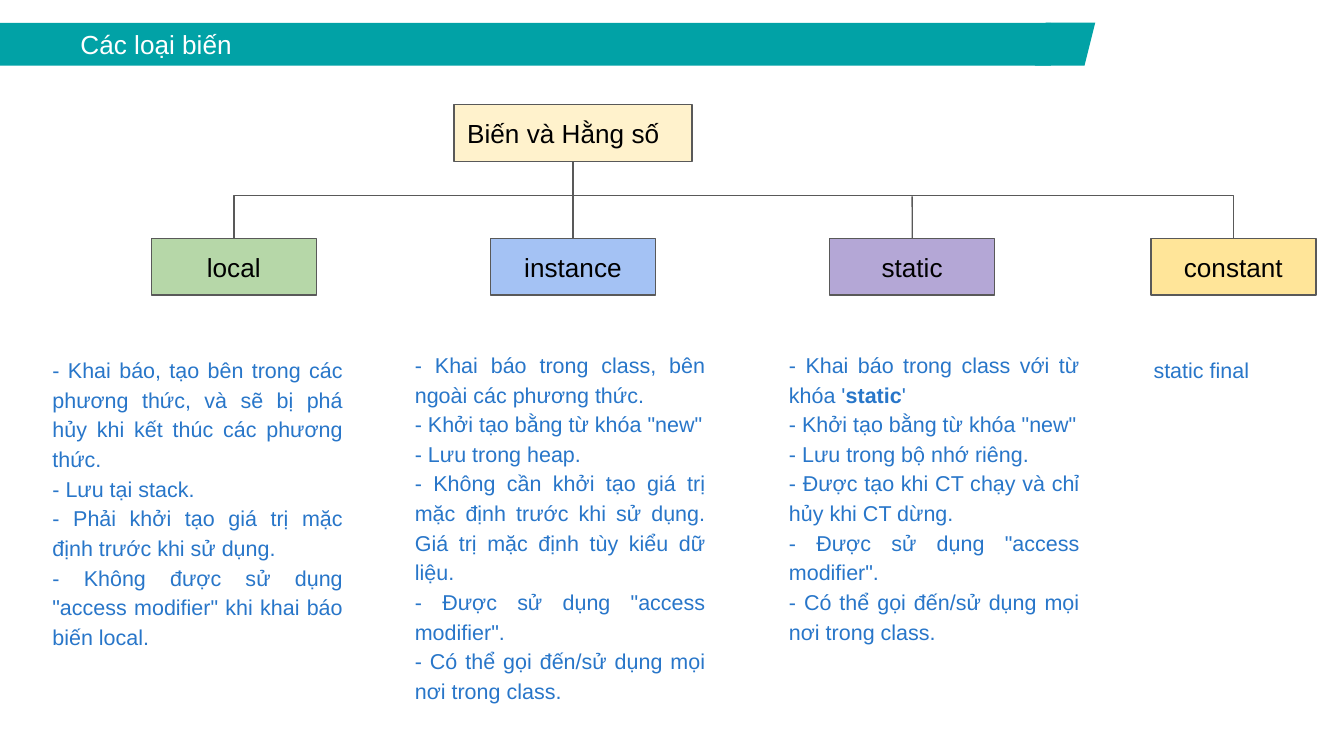
from pptx import Presentation
from pptx.dml.color import RGBColor
from pptx.enum.shapes import MSO_CONNECTOR as CONN, MSO_SHAPE as SHAPE
from pptx.enum.text import MSO_ANCHOR as ANCHOR, MSO_AUTO_SIZE as AUTO, PP_ALIGN as ALIGN
from pptx.oxml.ns import qn
from pptx.util import Cm, Pt
from lxml import etree

TEAL, GREY, BLUE = "01A2A6", "595959", "2876C9"
BOX_TOP, BOX_W, BOX_H = 4.51, 3.12, 1.07
BEND_RISE, BEND_DEPTH = 0.81, 0.01


def rgb(value):
    return RGBColor.from_string(value)


def write(tf, text, size=14, color="000000", align=ALIGN.LEFT, anchor=ANCHOR.MIDDLE,
          spacing=None, indent=0):
    tf.word_wrap = True
    tf.auto_size = AUTO.NONE
    tf.vertical_anchor = anchor
    tf.margin_left = tf.margin_right = tf.margin_top = tf.margin_bottom = Cm(0.25)
    for i, line in enumerate(text.split("\n")):
        p = tf.paragraphs[0] if i == 0 else tf.add_paragraph()
        p.alignment = align
        p.space_before = Pt(0)
        p.line_spacing = spacing
        pPr = p._p.get_or_add_pPr()
        pPr.set("marL", "0")
        pPr.set("indent", str(Cm(indent)))
        etree.SubElement(pPr, qn("a:buNone"))
        for j, part in enumerate(line.split("**")):
            r = p.add_run()
            r.text = part
            r.font.name = "Arial"
            r.font.size = Pt(size)
            r.font.bold = j % 2 == 1
            r.font.color.rgb = rgb(color)


class Deck:
    def __init__(self):
        self.prs = Presentation()
        self.prs.slide_width, self.prs.slide_height = Cm(25.4), Cm(14.29)
        self.s = self.prs.slides.add_slide(self.prs.slide_layouts[4])
        self.bodies = [ph for ph in self.s.placeholders if ph.placeholder_format.idx in (1, 2, 3, 4)]

    def place(self, sp, x, y, w, h):
        sp.left, sp.top, sp.width, sp.height = Cm(x), Cm(y), Cm(w), Cm(h)

    def title(self, text, x, y, w, h):
        sp = self.s.shapes.title
        self.place(sp, x, y, w, h)
        sp.fill.solid()
        sp.fill.fore_color.rgb = rgb(TEAL)
        write(sp.text_frame, text, color="FFFFFF", indent=1.27)

    def body(self, sp, text, x, y, w, h):
        self.place(sp, x, y, w, h)
        write(sp.text_frame, text, size=11.5, color=BLUE, align=ALIGN.JUSTIFY,
              anchor=ANCHOR.TOP, spacing=1.15)

    def shape(self, kind, x, y, w, h, fill, line=None):
        sp = self.s.shapes.add_shape(kind, Cm(x), Cm(y), Cm(w), Cm(h))
        sp.shadow.inherit = False
        sp.fill.solid()
        sp.fill.fore_color.rgb = rgb(fill)
        if line:
            sp.line.color.rgb = rgb(line)
            sp.line.width = Pt(0.75)
        else:
            sp.line.fill.background()
        return sp

    def box(self, text, x, y, w, fill, align=ALIGN.CENTER):
        sp = self.shape(SHAPE.RECTANGLE, x, y, w, BOX_H, fill, GREY)
        write(sp.text_frame, text, align=align)
        return sp

    def line(self, kind, x1, y1, x2, y2):
        cx = self.s.shapes.add_connector(kind, Cm(x1), Cm(y1), Cm(x2), Cm(y2))
        cx.line.color.rgb = rgb(GREY)
        cx.line.width = Pt(0.75)
        etree.SubElement(cx._element.spPr, qn("a:effectLst"))
        return cx

    def bracket(self, first, last):
        x1, x2 = [(sp.left + sp.width / 2) / Cm(1) for sp in (first, last)]
        cx = self.line(CONN.ELBOW, x1, BOX_TOP, x2, BOX_TOP)
        cx.begin_connect(first, 0)
        cx.end_connect(last, 0)
        span = x2 - x1
        self.place(cx, (x1 + x2 - BEND_DEPTH) / 2, BOX_TOP - span / 2, BEND_DEPTH, span)
        spPr = cx._element.spPr
        xfrm = spPr.find(qn("a:xfrm"))
        xfrm.set("rot", "16200000")
        xfrm.set("flipH", "1")
        guides = spPr.find(qn("a:prstGeom")).get_or_add_avLst()
        bend = round(-BEND_RISE / BEND_DEPTH * 100000)
        etree.SubElement(guides, qn("a:gd"), name="adj1", fmla=f"val {bend}")


BOXES = [
    ("local", 2.86, "B6D7A8"),
    ("instance", 9.27, "A4C2F4"),
    ("static", 15.68, "B4A7D6"),
    ("constant", 21.75, "FFE599"),
]

NOTES = [
    ("""- Khai báo, tạo bên trong các phương thức, và sẽ bị phá hủy khi kết thúc các phương thức.
- Lưu tại stack.
- Phải khởi tạo giá trị mặc định trước khi sử dụng.
- Không được sử dụng "access modifier" khi khai báo biến local.""", 0.74, 6.43, 5.99, 5.31),
    ("""- Khai báo trong class, bên ngoài các phương thức.
- Khởi tạo bằng từ khóa "new"
- Lưu trong heap.
- Không cần khởi tạo giá trị mặc định trước khi sử dụng. Giá trị mặc định tùy kiểu dữ liệu.
- Được sử dụng "access modifier".
- Có thể gọi đến/sử dụng mọi nơi trong class.""", 7.59, 6.33, 5.99, 6.22),
    ("""- Khai báo trong class với từ khóa '**static**'
- Khởi tạo bằng từ khóa "new"
- Lưu trong bộ nhớ riêng.
- Được tạo khi CT chạy và chỉ hủy khi CT dừng.
- Được sử dụng "access modifier".
- Có thể gọi đến/sử dụng mọi nơi trong class.""", 14.66, 6.33, 5.99, 6.76),
    ("static final", 21.55, 6.43, 2.79, 1.24),
]


def main():
    deck = Deck()
    deck.title("Các loại biến", 0, 0.43, 19.86, 0.81)
    deck.shape(SHAPE.PARALLELOGRAM, 19.56, 0.43, 1.14, 0.81, TEAL)

    root = deck.box("Biến và Hằng số", 8.58, 1.98, 4.5, "FFF2CC", ALIGN.LEFT)
    local, instance, static, constant = [
        deck.box(text, x, BOX_TOP, BOX_W, fill) for text, x, fill in BOXES]

    deck.bracket(local, constant)
    trunk = deck.line(CONN.STRAIGHT, 10.83, 3.05, 10.83, BOX_TOP)
    trunk.begin_connect(root, 2)
    trunk.end_connect(instance, 0)
    stub = deck.line(CONN.STRAIGHT, 17.24, BOX_TOP, 17.24, 3.71)
    stub.begin_connect(static, 0)

    for sp, note in zip(deck.bodies, NOTES):
        deck.body(sp, *note)
    deck.prs.save("out.pptx")


if __name__ == "__main__":
    main()
